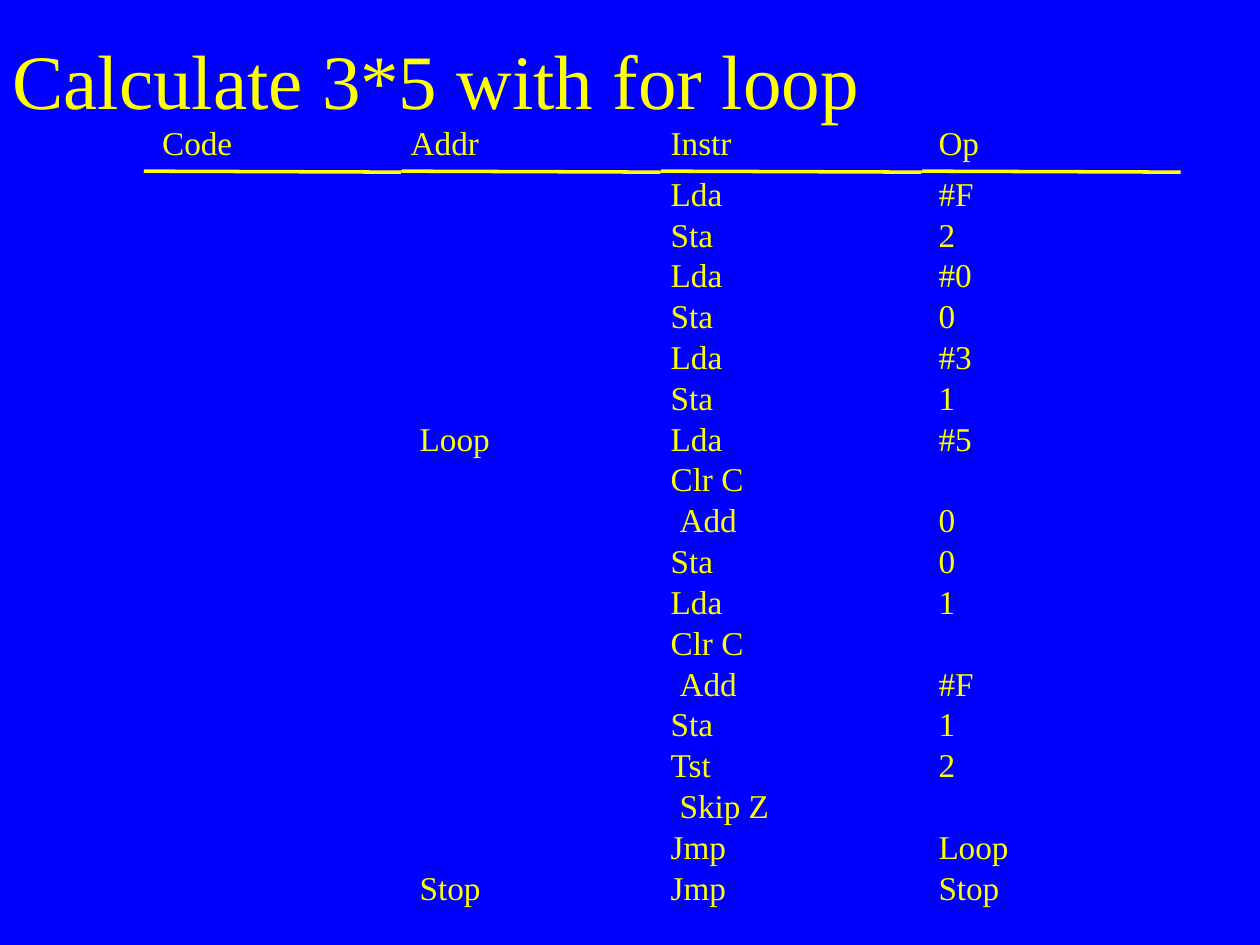
from itertools import accumulate
from lxml.etree import SubElement
from pptx import Presentation
from pptx.dml.color import RGBColor
from pptx.enum.shapes import MSO_CONNECTOR, MSO_SHAPE
from pptx.enum.text import MSO_ANCHOR
from pptx.oxml.ns import qn
from pptx.util import Cm, Pt

BLUE = RGBColor(0x00, 0x00, 0xFF)
YELLOW = RGBColor(0xFF, 0xFF, 0x00)
FONT = "Times New Roman"
NO_STYLE = "{2D5ABB26-0587-4C30-8999-92F81FD0307C}"

HEADER_HEIGHT = 1.02
COLUMN_WIDTHS = (5.18, 5.23, 5.26, 5.23)
COLUMN_MARGINS = (0.37, 0.2, 0.21, 0.35)
JOINT_WIDTH = 0.02
EXTRA_INDENT = 0.18
INDENTED = {(1, "Loop"), (1, "Stop"), (2, "Add"), (2, "Skip Z")}

HEADER = ("Code", "Addr", "Instr", "Op")
PROGRAM = (
    ("", "Lda", "#F"),
    ("", "Sta", "2"),
    ("", "Lda", "#0"),
    ("", "Sta", "0"),
    ("", "Lda", "#3"),
    ("", "Sta", "1"),
    ("Loop", "Lda", "#5"),
    ("", "Clr C", ""),
    ("", "Add", "0"),
    ("", "Sta", "0"),
    ("", "Lda", "1"),
    ("", "Clr C", ""),
    ("", "Add", "#F"),
    ("", "Sta", "1"),
    ("", "Tst", "2"),
    ("", "Skip Z", ""),
    ("", "Jmp", "Loop"),
    ("Stop", "Jmp", "Stop"),
)


def add_text(text_frame, text, size):
    """Write one yellow run into the first paragraph."""
    paragraph = text_frame.paragraphs[0]
    paragraph.font.size = Pt(size)
    if text:
        run = paragraph.add_run()
        run.text = text
        run.font.name = FONT
        run.font.size = Pt(size)
        run.font.color.rgb = YELLOW


def add_title(slide, left, top, width, height):
    """Place the heading in its box."""
    shape = slide.shapes.add_textbox(Cm(left), Cm(top), Cm(width), Cm(height))
    text_frame = shape.text_frame
    text_frame.word_wrap = True
    text_frame.vertical_anchor = MSO_ANCHOR.MIDDLE
    add_text(text_frame, "Calculate 3*5 with for loop", 44)


def add_program_table(slide, left, top, width, height):
    """Place the program listing below its column names."""
    rows = [HEADER] + [("", *instruction) for instruction in PROGRAM]
    shape = slide.shapes.add_table(
        len(rows), len(HEADER), Cm(left), Cm(top), Cm(width), Cm(height))
    table = shape.table
    table.horz_banding = False
    table._tbl.tblPr.find(qn("a:tableStyleId")).text = NO_STYLE
    for column, share in zip(table.columns, COLUMN_WIDTHS):
        column.width = Cm(width * share / sum(COLUMN_WIDTHS))
    body_row_height = (height - HEADER_HEIGHT) / len(PROGRAM)
    for row_index, texts in enumerate(rows):
        table.rows[row_index].height = Cm(
            body_row_height if row_index else HEADER_HEIGHT)
        for column_index, text in enumerate(texts):
            cell = table.cell(row_index, column_index)
            indent = EXTRA_INDENT if (column_index, text) in INDENTED else 0
            cell.margin_left = Cm(COLUMN_MARGINS[column_index] + indent)
            cell.margin_right = cell.margin_top = cell.margin_bottom = 0
            cell.fill.background()
            add_text(cell.text_frame, text, 19)


def add_rule_segment(slide, left, top, width, height):
    """Draw one bar of the rule with a hairline from corner to corner."""
    bar = slide.shapes.add_shape(
        MSO_SHAPE.RECTANGLE, Cm(left), Cm(top), Cm(width), Cm(height))
    bar.shadow.inherit = False
    bar.fill.solid()
    bar.fill.fore_color.rgb = YELLOW
    bar.line.fill.background()
    hairline = slide.shapes.add_connector(
        MSO_CONNECTOR.STRAIGHT, Cm(left), Cm(top),
        Cm(left + width), Cm(top + height))
    hairline.line.color.rgb = YELLOW
    hairline.line.width = Pt(0)
    SubElement(hairline._element.spPr, qn("a:effectLst"))


def add_header_rule(slide, left, top, width, height):
    """Draw the rule as one bar for each column, with joints between them."""
    scale = width / sum(COLUMN_WIDTHS)
    ends = [left + scale * end for end in accumulate(COLUMN_WIDTHS)]
    start = left
    for end in ends:
        add_rule_segment(slide, start, top, end - start, height)
        if end != ends[-1]:
            add_rule_segment(slide, end, top, JOINT_WIDTH, height)
        start = end + JOINT_WIDTH


def main():
    """Build and save the slide."""
    presentation = Presentation()
    presentation.slide_width = Cm(25.4)
    presentation.slide_height = Cm(19.05)
    slide = presentation.slides.add_slide(presentation.slide_layouts[6])
    slide.background.fill.solid()
    slide.background.fill.fore_color.rgb = BLUE
    width = sum(COLUMN_WIDTHS)
    add_title(slide, 0, 0, 21.59, 3.18)
    add_program_table(slide, 2.9, 2.54, width, 15.84)
    add_header_rule(slide, 2.9, 3.45, width, 0.02)
    presentation.save("out.pptx")


if __name__ == "__main__":
    main()
